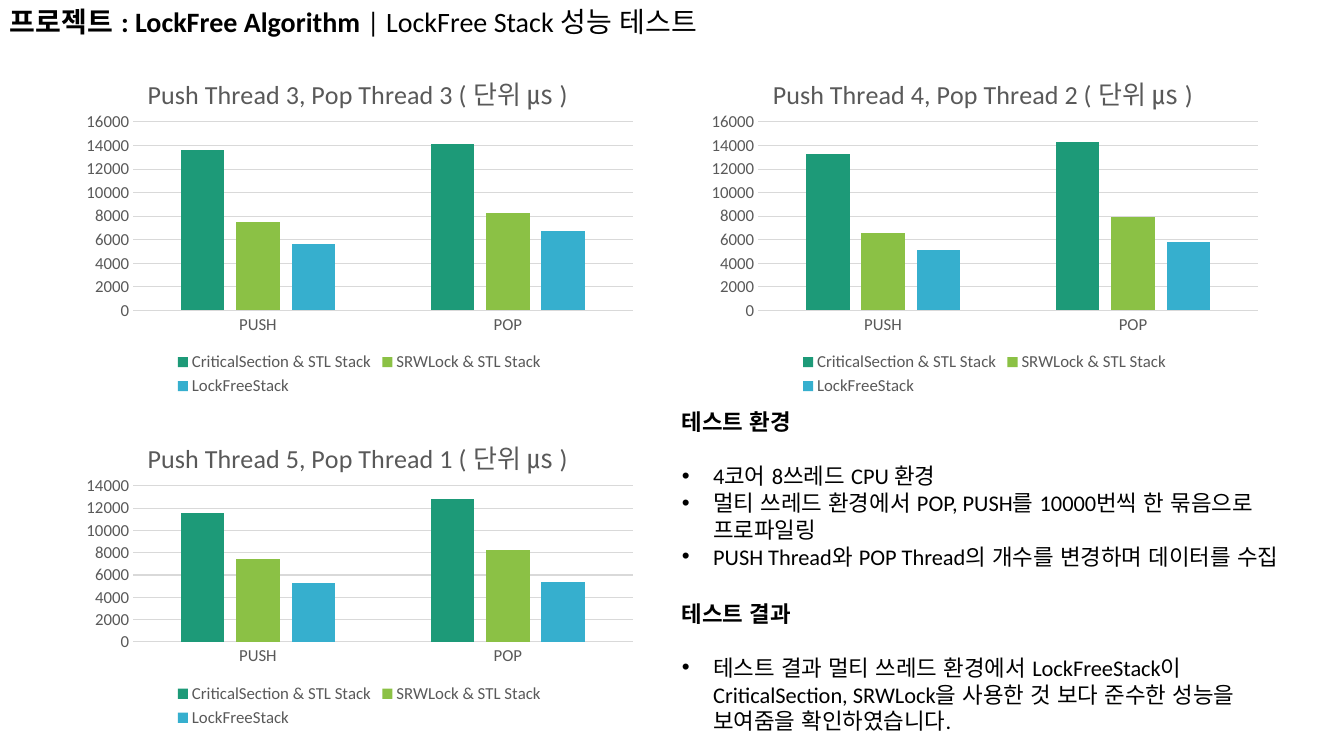
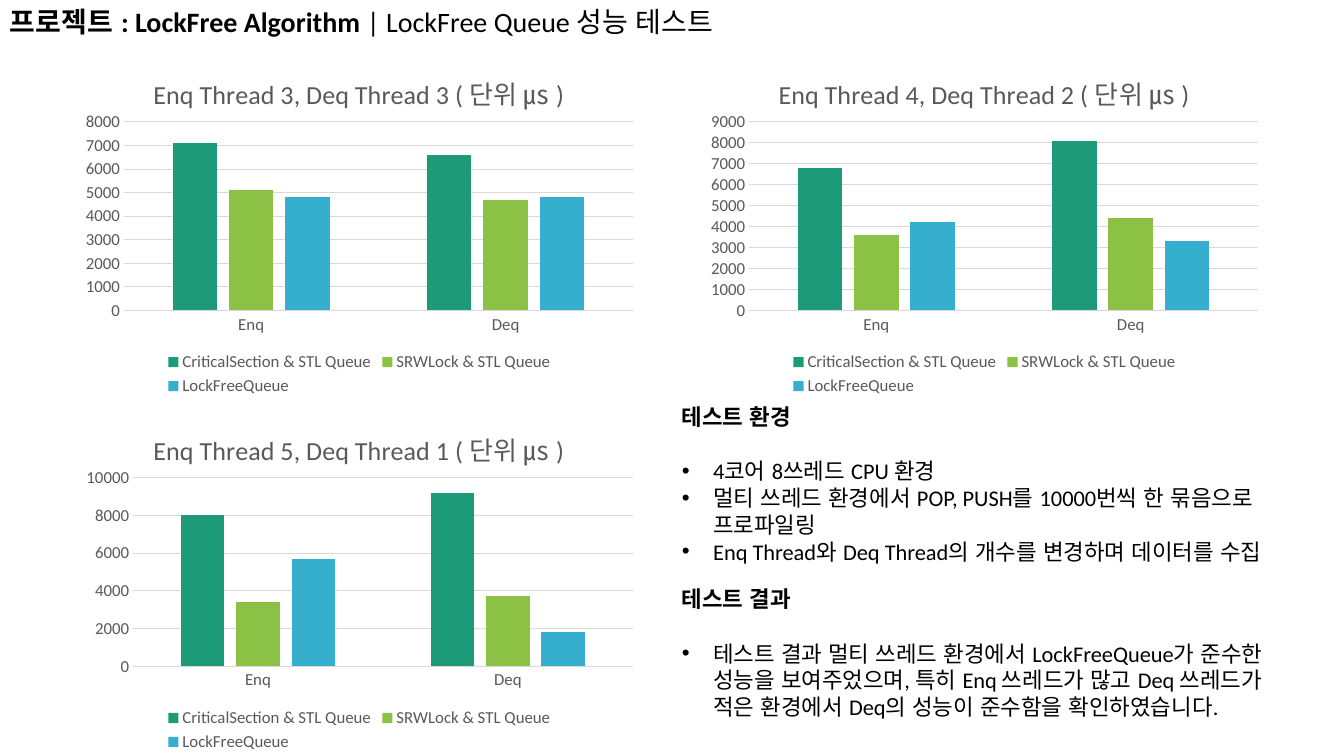
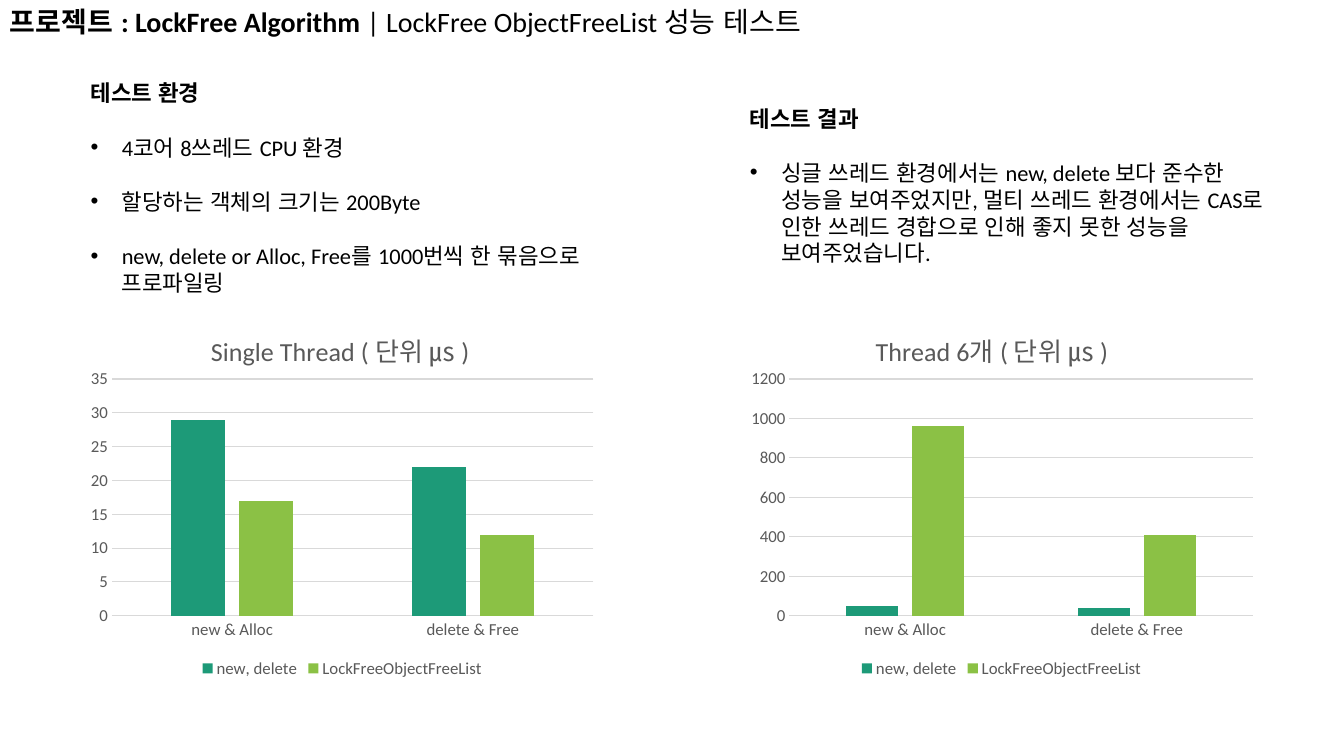
from dataclasses import dataclass
from lxml import etree
from pptx import Presentation, util as u
from pptx.chart.data import CategoryChartData
from pptx.dml.color import RGBColor
from pptx.enum import chart as ch, lang
from pptx.oxml import ns


@dataclass(frozen=True)
class Theme:
    font: str = "Calibri"
    black: RGBColor = RGBColor(0, 0, 0)
    grey: RGBColor = RGBColor.from_string("595959")
    rule: RGBColor = RGBColor.from_string("D9D9D9")
    series: tuple = ("1D9A78", "8BC145", "36AFCE")
    headline: float = 20
    chart_title: float = 18.6
    body: float = 16
    body_line: float = 19.5
    axis: float = 12


theme = Theme()
prs = Presentation()
prs.slide_width, prs.slide_height = u.Inches(13.33), u.Inches(7.5)


def add_text(s, box, paragraphs, size):
    """Each paragraph is (runs, bulleted, space before); each run is (text, bold)."""
    tf = s.shapes.add_textbox(*box).text_frame
    tf.word_wrap = True
    for i, (runs, bulleted, before) in enumerate(paragraphs):
        p = tf.add_paragraph() if i else tf.paragraphs[0]
        if bulleted:
            pPr = p._p.get_or_add_pPr()
            pPr.set("marL", str(u.Inches(0.31)))
            pPr.set("indent", str(-u.Inches(0.31)))
            etree.SubElement(pPr, ns.qn("a:buFont"), typeface="Arial")
            etree.SubElement(pPr, ns.qn("a:buChar"), char="•")
        if before:
            p.space_before = u.Pt(before)
        for words, bold in runs:
            r = p.add_run()
            r.text = words
            r.font.name, r.font.size, r.font.bold = theme.font, u.Pt(size), bold
            r.font.color.rgb = theme.black
            r.font.language_id = lang.MSO_LANGUAGE_ID.KOREAN


def add_columns(s, box, title, title_x, cats, names, values, top, step):
    data = CategoryChartData()
    data.categories = cats
    for name, vals in zip(names, values):
        data.add_series(name, vals)
    chart = s.shapes.add_chart(ch.XL_CHART_TYPE.COLUMN_CLUSTERED, *box, data).chart
    chart.font.name, chart.font.size = theme.font, u.Pt(10)
    chart.font.color.rgb = theme.black

    chart.has_title = True
    r = chart.chart_title.text_frame.paragraphs[0].add_run()
    r.text = title
    chart.has_legend = True
    chart.legend.position = ch.XL_LEGEND_POSITION.BOTTOM
    chart.legend.include_in_layout = False
    cat_axis, val_axis = chart.category_axis, chart.value_axis
    for font, size in ((r.font, theme.chart_title), (chart.legend.font, theme.axis),
                       (cat_axis.tick_labels.font, theme.axis),
                       (val_axis.tick_labels.font, theme.axis)):
        font.name, font.size, font.bold = theme.font, u.Pt(size), False
        font.color.rgb = theme.grey

    for axis in (cat_axis, val_axis):
        axis.major_tick_mark = axis.minor_tick_mark = ch.XL_TICK_MARK.NONE
    val_axis.minimum_scale, val_axis.maximum_scale, val_axis.major_unit = 0, top, step
    val_axis.has_major_gridlines = True
    for line in (cat_axis.format.line, val_axis.major_gridlines.format.line):
        line.color.rgb, line.width = theme.rule, u.Pt(0.75)
    val_axis.format.line.fill.background()

    plot = chart.plots[0]
    plot.gap_width, plot.overlap, plot.vary_by_categories = 219, -27, False
    for series, color in zip(plot.series, theme.series):
        series.format.fill.solid()
        series.format.fill.fore_color.rgb = RGBColor.from_string(color)

    # The plot starts after the axis labels and ends above one or two legend rows.
    width, height = (length / u.Inches(1) for length in box[2:])
    left = (0.13 + 0.09 * len(str(top))) / width
    foot = 0.89 if len(names) > 2 else 0.66
    plot_layout = {"layoutTarget": "inner", "xMode": "edge", "yMode": "edge",
                   "x": left, "y": 0.77 / height,
                   "w": 0.98 - left, "h": 1 - (0.77 + foot) / height}
    title_layout = {"xMode": "edge", "yMode": "edge", "x": title_x, "y": 0.22 / height}
    for parent, index, settings in ((chart._chartSpace.chart.plotArea, 0, plot_layout),
                                    (chart.chart_title._element, 1, title_layout)):
        for old in parent.findall(ns.qn("c:layout")):
            parent.remove(old)
        layout = etree.Element(ns.qn("c:layout"))
        parent.insert(index, layout)
        manual = etree.SubElement(layout, ns.qn("c:manualLayout"))
        for key, value in settings.items():
            etree.SubElement(manual, ns.qn("c:" + key), val=str(value))


ENVIRONMENT, RESULT = "테스트 환경", "테스트 결과"
CPU = "4코어 8쓰레드 CPU 환경"
BATCH = "멀티 쓰레드 환경에서 POP, PUSH를 10000번씩 한 묶음으로 프로파일링"
UNIT = " ( 단위 ㎲ )"
STACK = ("CriticalSection & STL Stack", "SRWLock & STL Stack", "LockFreeStack")
QUEUE = ("CriticalSection & STL Queue", "SRWLock & STL Queue", "LockFreeQueue")
FREE_LIST = ("new, delete", "LockFreeObjectFreeList")
CALLS = ("new & Alloc", "delete & Free")

# Boxes are left, top, width and height in percent of the slide.
TOP_LEFT, TOP_RIGHT = (5.55, 5.87, 42.39, 47.07), (52.06, 5.87, 42.39, 47.07)

# Chart: box, title, title start, categories, series names, values, axis top, step.
# Note: box, heading, bullets, blank lines between bullets.
slides = [
    ("LockFree Stack",
     [(TOP_LEFT, "Push Thread 3, Pop Thread 3", 0.12, ("PUSH", "POP"), STACK,
       ((13600, 14100), (7500, 8300), (5600, 6700)), 16000, 2000),
      (TOP_RIGHT, "Push Thread 4, Pop Thread 2", 0.12, ("PUSH", "POP"), STACK,
       ((13300, 14300), (6600, 7900), (5100, 5800)), 16000, 2000),
      ((5.55, 54, 42.39, 42.8), "Push Thread 5, Pop Thread 1", 0.12, ("PUSH", "POP"), STACK,
       ((11600, 12800), (7400, 8200), (5300, 5400)), 14000, 2000)],
     [((50, 78.67, 46.06, 19.33), RESULT,
       ["테스트 결과 멀티 쓰레드 환경에서 LockFreeStack이 CriticalSection, SRWLock을 "
        "사용한 것 보다 준수한 성능을 보여줌을 확인하였습니다."], 0),
      ((50, 53.33, 50.26, 22.93), ENVIRONMENT,
       [CPU, BATCH, "PUSH Thread와 POP Thread의 개수를 변경하며 데이터를 수집"], 0)]),
    ("LockFree Queue",
     [(TOP_LEFT, "Enq Thread 3, Deq Thread 3", 0.13, ("Enq", "Deq"), QUEUE,
       ((7100, 6600), (5100, 4700), (4800, 4800)), 8000, 1000),
      (TOP_RIGHT, "Enq Thread 4, Deq Thread 2", 0.13, ("Enq", "Deq"), QUEUE,
       ((6800, 8100), (3600, 4400), (4200, 3300)), 9000, 1000),
      ((5.55, 52.93, 42.39, 47.07), "Enq Thread 5, Deq Thread 1", 0.13, ("Enq", "Deq"), QUEUE,
       ((8000, 9200), (3400, 3700), (5700, 1800)), 10000, 2000)],
     [((50, 76.8, 46.06, 22.93), RESULT,
       ["테스트 결과 멀티 쓰레드 환경에서 LockFreeQueue가 준수한 성능을 보여주었으며, "
        "특히 Enq 쓰레드가 많고 Deq 쓰레드가 적은 환경에서 Deq의 성능이 준수함을 "
        "확인하였습니다."], 0),
      ((50, 52.67, 50.26, 22.93), ENVIRONMENT,
       [CPU, BATCH, "Enq Thread와 Deq Thread의 개수를 변경하며 데이터를 수집"], 0)]),
    ("LockFree ObjectFreeList",
     [((6, 39.87, 38.93, 50.4), "Single Thread", 0.24, CALLS, FREE_LIST,
       ((29, 22), (17, 12)), 35, 5),
      ((55.06, 39.87, 38.93, 50.4), "Thread 6개", 0.25, CALLS, FREE_LIST,
       ((50, 40), (960, 410)), 1200, 200)],
     [((6, 9.87, 41.34, 30.13), ENVIRONMENT,
       [CPU, "할당하는 객체의 크기는 200Byte",
        "new, delete or Alloc, Free를 1000번씩 한 묶음으로 프로파일링"], 1),
      ((55.06, 13.2, 41.34, 22.93), RESULT,
       ["싱글 쓰레드 환경에서는 new, delete 보다 준수한 성능을 보여주었지만, 멀티 쓰레드 "
        "환경에서는 CAS로 인한 쓰레드 경합으로 인해 좋지 못한 성능을 보여주었습니다."], 0)]),
]

scale = (prs.slide_width / 100, prs.slide_height / 100) * 2
for subject, charts, notes in slides:
    s = prs.slides.add_slide(prs.slide_layouts[6])
    headline = [("프로젝트 : LockFree Algorithm ", True), (f"| {subject} 성능 테스트", False)]
    headline_box = [int(n * k) for n, k in zip((0, 0, 66, 5.87), scale)]
    add_text(s, headline_box, [(headline, False, 0)], theme.headline)
    for box, title, *rest in charts:
        add_columns(s, [int(n * k) for n, k in zip(box, scale)], title + UNIT, *rest)
    for box, heading, bullets, blank_lines in notes:
        paragraphs = [([(heading, True)], False, 0)]
        for i, bullet in enumerate(bullets):
            gap = theme.body_line * (blank_lines if i else 1)
            paragraphs.append(([(bullet, False)], True, gap))
        add_text(s, [int(n * k) for n, k in zip(box, scale)], paragraphs, theme.body)

prs.save("out.pptx")
